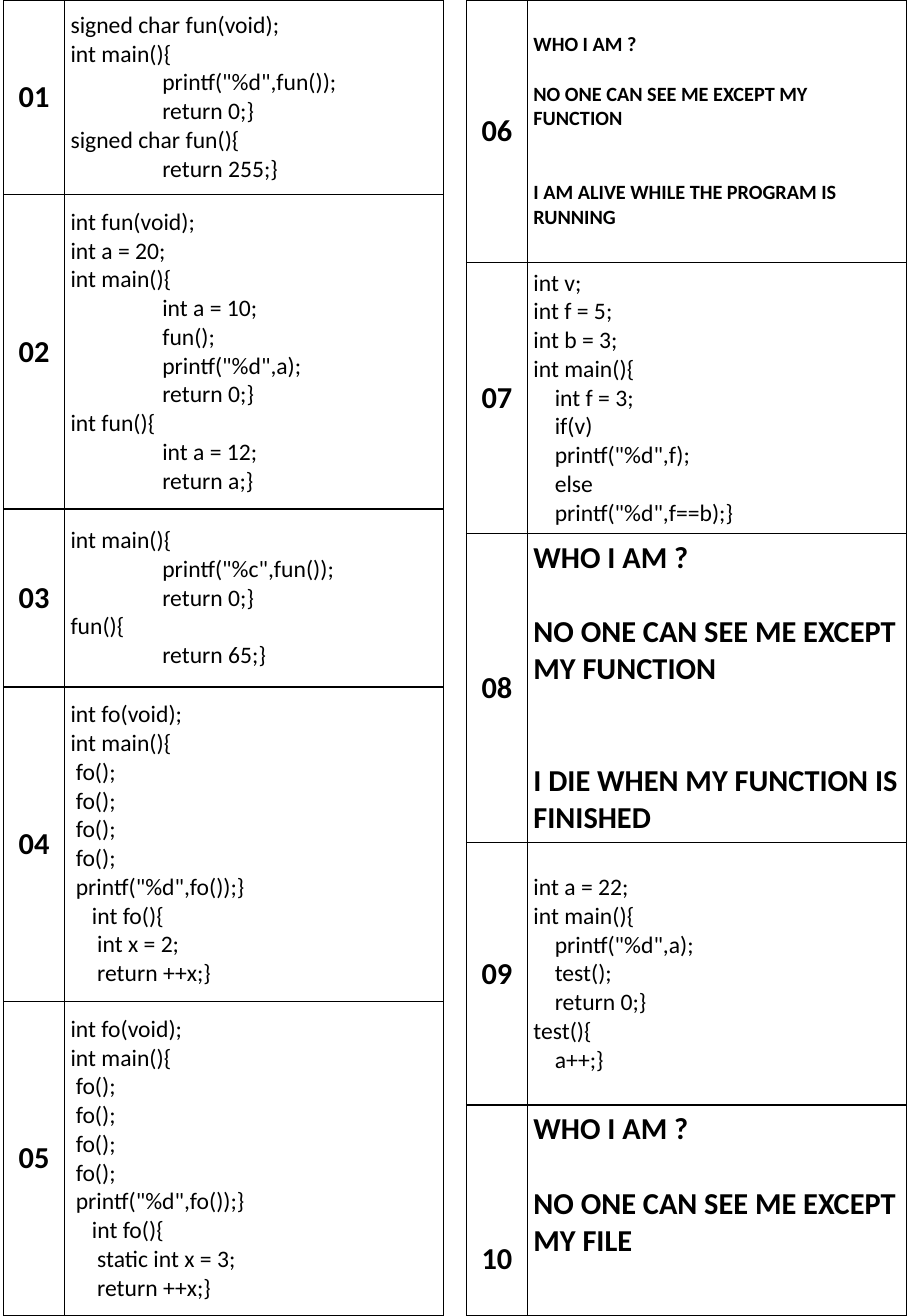
import pptx
import pptx.dml.color
import pptx.enum.text
import pptx.oxml
import pptx.oxml.ns
import pptx.util

Pt = pptx.util.Pt
FONT = "Calibri"
INK = "000000"
PAPER = "FFFFFF"
LINE_HEIGHT = 1.22
TAB_INDENT = 54.4
SPACE_INDENT = 3.16
RIDDLE_GAPS = [0, 1, 2]
COLUMN_WIDTHS = [36, 224.6]

FO_CALLS = """int fo(void);
int main(){
 fo();
 fo();
 fo();
 fo();
 printf("%d",fo());}
    int fo(){
     {declaration}
     return ++x;}"""

LEFT_CARDS = [
    ("01", 115.2, 14, """signed char fun(void);
int main(){
\tprintf("%d",fun());
\treturn 0;}
signed char fun(){
\treturn 255;}"""),
    ("02", 186.3, 14, """int fun(void);
int a = 20;
int main(){
\tint a = 10;
\tfun();
\tprintf("%d",a);
\treturn 0;}
int fun(){
\tint a = 12;
\treturn a;}"""),
    ("03", 105.6, 14, """int main(){
\tprintf("%c",fun());
\treturn 0;}
fun(){
\treturn 65;}"""),
    ("04", 186.3, 14, FO_CALLS.replace("{declaration}", "int x = 2;")),
    ("05", 186.3, 14, FO_CALLS.replace("{declaration}", "static int x = 3;")),
]

RIGHT_CARDS = [
    ("06", 155.6, 12, """WHO I AM ?
NO ONE CAN SEE ME EXCEPT MY FUNCTION
I AM ALIVE WHILE THE PROGRAM IS RUNNING"""),
    ("07", 160.6, 14, """int v;
int f = 5;
int b = 3;
int main(){
    int f = 3;
    if(v)
    printf("%d",f);
    else
    printf("%d",f==b);}"""),
    ("08", 183, 18, """WHO I AM ?
NO ONE CAN SEE ME EXCEPT MY FUNCTION
I DIE WHEN MY FUNCTION IS FINISHED"""),
    ("09", 155.6, 14, """int a = 22;
int main(){
    printf("%d",a);
    test();
    return 0;}
test(){
    a++;}"""),
    ("10", 125, 18, """WHO I AM ?
NO ONE CAN SEE ME EXCEPT MY FILE"""),
]


def color(hex_string):
    return pptx.dml.color.RGBColor.from_string(hex_string)


def draw_borders(cell):
    properties = cell._tc.get_or_add_tcPr()
    for position, side in enumerate(("lnL", "lnR", "lnT", "lnB")):
        border = pptx.oxml.parse_xml(
            f'<a:{side} {pptx.oxml.ns.nsdecls("a")} w="{Pt(1)}"><a:solidFill>'
            f'<a:srgbClr val="{INK}"/></a:solidFill></a:{side}>'
        )
        properties.insert(position, border)


def write_cell(cell, text, size, bold):
    cell.text_frame.text = text
    cell.vertical_anchor = pptx.enum.text.MSO_ANCHOR.MIDDLE
    cell.fill.solid()
    cell.fill.fore_color.rgb = color(PAPER)
    draw_borders(cell)
    for paragraph in cell.text_frame.paragraphs:
        for run in paragraph.runs:
            run.font.name = FONT
            run.font.size = Pt(size)
            run.font.bold = bold
            run.font.color.rgb = color(INK)


def write_number(cell, number):
    write_cell(cell, number, 18, True)
    cell.text_frame.paragraphs[0].alignment = pptx.enum.text.PP_ALIGN.CENTER


def set_small_margins(cell):
    cell.margin_left = cell.margin_right = Pt(3.6)
    cell.margin_top = cell.margin_bottom = Pt(3.6)


def write_code(cell, code, size):
    lines = code.split("\n")
    write_cell(cell, "\n".join(line.strip() for line in lines), size, False)
    set_small_margins(cell)
    for paragraph, line in zip(cell.text_frame.paragraphs, lines):
        spaces = len(line) - len(line.lstrip(" "))
        indent = line.count("\t") * TAB_INDENT + spaces * SPACE_INDENT
        paragraph._p.get_or_add_pPr().set("marL", str(Pt(indent)))


def write_riddle(cell, riddle, size):
    write_cell(cell, riddle, size, True)
    set_small_margins(cell)
    for paragraph, gap in zip(cell.text_frame.paragraphs, RIDDLE_GAPS):
        paragraph.space_before = Pt(gap * size * LINE_HEIGHT)


def add_cards(slide, left, cards):
    height = sum(card[1] for card in cards)
    frame = slide.shapes.add_table(
        len(cards), 2, Pt(left), Pt(0), Pt(sum(COLUMN_WIDTHS)), Pt(height)
    )
    table = frame.table
    table.first_row = False
    table.horz_banding = False
    for column, width in zip(table.columns, COLUMN_WIDTHS):
        column.width = Pt(width)
    for index, (number, row_height, size, question) in enumerate(cards):
        table.rows[index].height = Pt(row_height)
        write_number(table.cell(index, 0), number)
        write_question = write_riddle if question.startswith("WHO") else write_code
        write_question(table.cell(index, 1), question, size)
    return table


def align_last_card(table):
    last = len(table.rows) - 1
    table.cell(last, 0).margin_top = Pt(61.6)
    table.cell(last, 1).vertical_anchor = pptx.enum.text.MSO_ANCHOR.TOP


def main():
    deck = pptx.Presentation()
    deck.slide_width = Pt(540)
    deck.slide_height = Pt(779.8)
    slide = deck.slides.add_slide(deck.slide_layouts[6])
    add_cards(slide, 2.2, LEFT_CARDS)
    right_table = add_cards(slide, 276.6, RIGHT_CARDS)
    align_last_card(right_table)
    deck.save("out.pptx")


if __name__ == "__main__":
    main()
